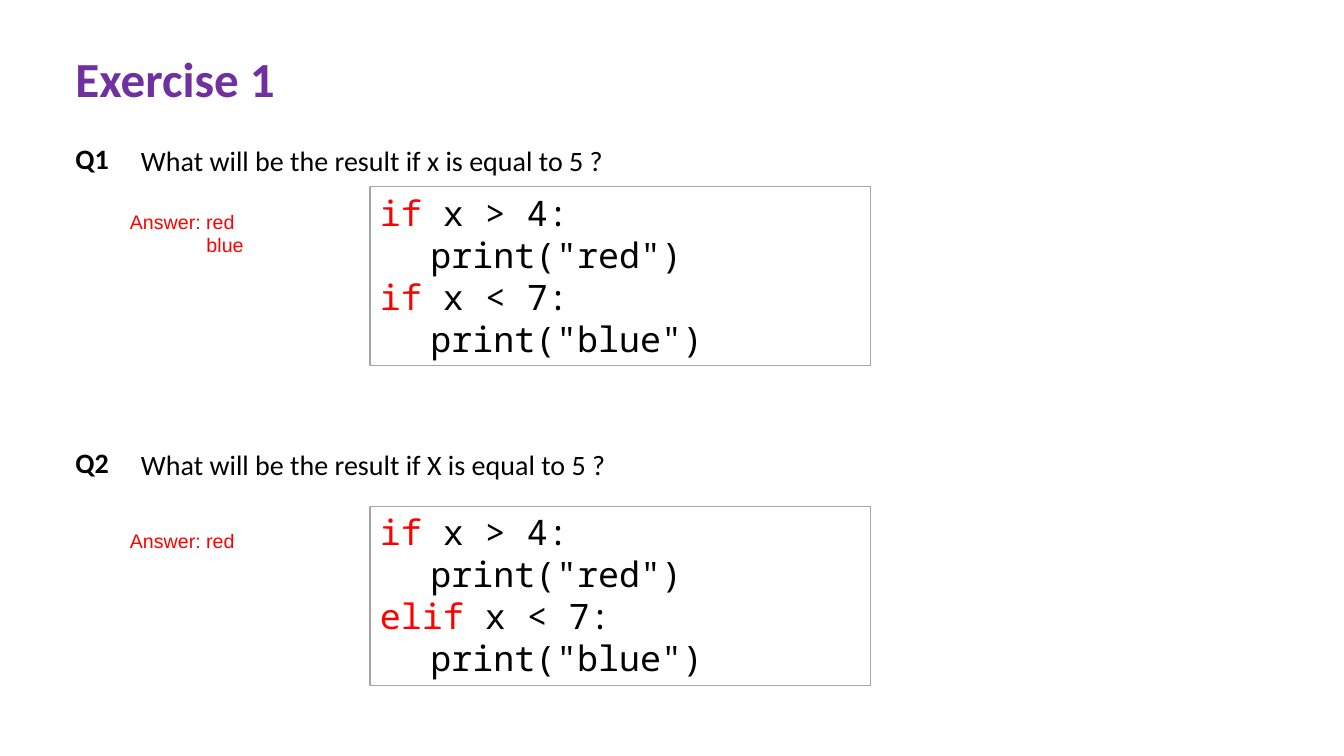
from pptx import Presentation
from pptx import util as u
from pptx.dml.color import RGBColor
from pptx.enum import shapes, text

# Content: top and code top are in px; code lines pair a keyword with the rest
TITLE = "Exercise 1"
TASKS = [
    {"name": "Q1", "ask": "What will be the result if x is equal to 5 ?",
     "top": 135, "code_top": 185,
     "code": [("if", " x > 4:"), ("", "\tprint(\"red\")"),
              ("if", " x < 7:"), ("", "\tprint(\"blue\")")],
     "answer": ["Answer: red", "blue"]},
    {"name": "Q2", "ask": "What will be the result if X is equal to 5 ?",
     "top": 437, "code_top": 502,
     "code": [("if", " x > 4:"), ("", "\tprint(\"red\")"),
              ("elif", " x < 7:"), ("", "\tprint(\"blue\")")],
     "answer": ["Answer: red"]},
]

THEME = {
    "title": "7030A0", "ink": "000000", "red": "FF0000", "edge": "A5A5A5",
    "body": "Calibri", "mono": "Noto Sans Mono", "note": "Arial",
    "title_pt": 35, "body_pt": 20, "code_pt": 25, "note_pt": 14,
}
SCALE = 9144  # EMU per px, 100 px to the inch
INDENT = 76   # second answer line sits under the first answer word


def px(n):
    return u.Emu(n * SCALE)


def write(slide, lines, at, font="body", size="body_pt", color="ink",
          bold=False, edge=None, indent=0):
    """Add a box; each line is a list of (text, color key or None) runs."""
    place = [px(n) for n in at]
    if edge:
        box = slide.shapes.add_shape(shapes.MSO_SHAPE.RECTANGLE, *place)
        box.shadow.inherit = False
        box.fill.background()
        box.line.color.rgb = RGBColor.from_string(THEME[edge])
        box.line.width = u.Pt(0.75)
    else:
        box = slide.shapes.add_textbox(*place)
    frame = box.text_frame
    frame.word_wrap = True
    frame.vertical_anchor = text.MSO_ANCHOR.TOP
    for i, line in enumerate(lines):
        para = frame.add_paragraph() if i else frame.paragraphs[0]
        para.alignment = text.PP_ALIGN.LEFT
        if i and indent:
            para._p.get_or_add_pPr().set("marL", str(px(indent)))
        for words, tint in line:
            run = para.add_run()
            run.text = words
            run.font.name = THEME[font]
            run.font.size = u.Pt(THEME[size])
            run.font.bold = bold
            run.font.color.rgb = RGBColor.from_string(THEME[tint or color])
    return box


def main():
    deck = Presentation()
    deck.slide_width, deck.slide_height = px(1333), px(750)
    slide = deck.slides.add_slide(deck.slide_layouts[6])

    # Title
    write(slide, [[(TITLE, None)]], (65, 43, 220, 69),
          size="title_pt", color="title", bold=True)

    for task in TASKS:
        top, code_top = task["top"], task["code_top"]
        # Question
        write(slide, [[(task["name"], None)]], (65, top, 60, 44), bold=True)
        write(slide, [[(task["ask"], None)]], (130, top + 2, 485, 44))
        # Code
        code = [[(word, tint) for word, tint in ((key, "red"), (rest, None))
                 if word] for key, rest in task["code"]]
        write(slide, code, (367, code_top, 496, 178),
              font="mono", size="code_pt", edge="edge")
        # Answer
        write(slide, [[(line, None)] for line in task["answer"]],
              (119, code_top + 18, 183, 57), font="note", size="note_pt",
              color="red", indent=INDENT)

    deck.save("out.pptx")


if __name__ == "__main__":
    main()
